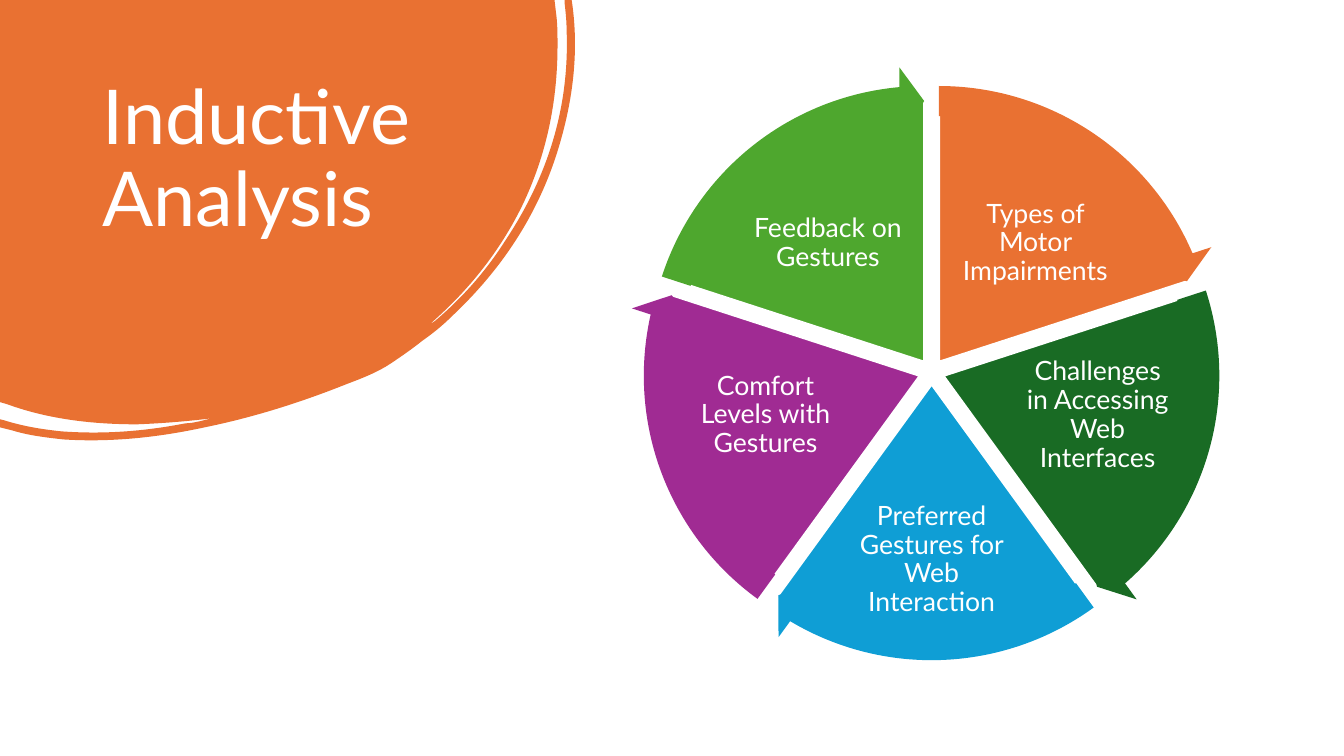
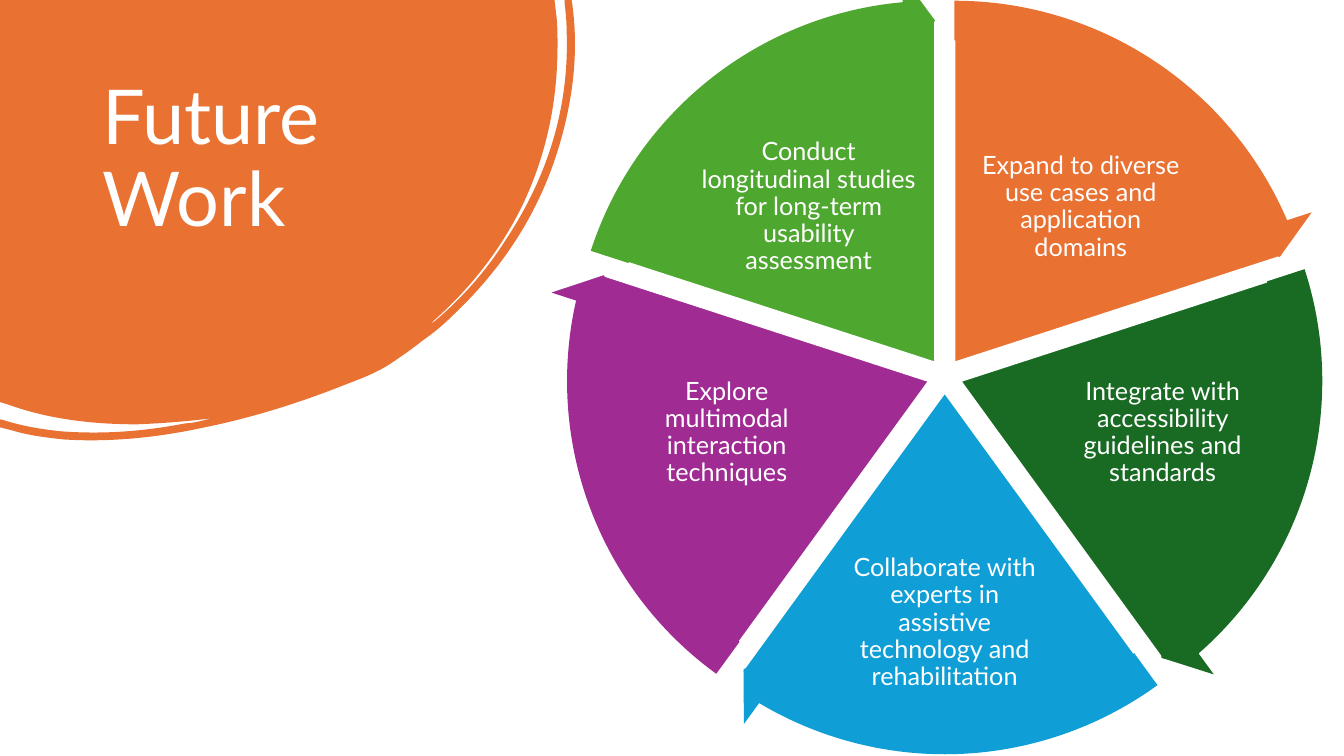
from math import cos, radians, sin

from lxml.etree import SubElement
from pptx import Presentation
from pptx.dml.color import RGBColor
from pptx.enum.shapes import MSO_SHAPE as Preset
from pptx.enum.text import MSO_ANCHOR as Anchor, PP_ALIGN as Align
from pptx.oxml.ns import qn
from pptx.util import Inches, Pt

ORANGE = RGBColor(0xE9, 0x71, 0x32)
DARK_GREEN = RGBColor(0x19, 0x6B, 0x24)
BLUE = RGBColor(0x0F, 0x9E, 0xD5)
PURPLE = RGBColor(0xA0, 0x2B, 0x93)
GREEN = RGBColor(0x4E, 0xA7, 0x2E)
WHITE = RGBColor(0xFF, 0xFF, 0xFF)
FONT = "Lato"

# Wheel centre and diameter are in inches; labels run clockwise from the top.
SLIDES = [
    {
        "title": "Inductive Analysis",
        "centre": (9.24, 3.69), "diameter": 5.22, "size": 19,
        "labels": [
            "Types of Motor Impairments",
            "Challenges in Accessing Web Interfaces",
            "Preferred Gestures for Web Interaction",
            "Comfort Levels with Gestures",
            "Feedback on Gestures",
        ],
    },
    {
        "title": "Future Work",
        "centre": (9.37, 3.73), "diameter": 6.85, "size": 18,
        "labels": [
            "Expand to diverse use cases and application domains",
            "Integrate with accessibility guidelines and standards",
            "Collaborate with experts in assistive technology and rehabilitation",
            "Explore multimodal interaction techniques",
            "Conduct longitudinal studies for long-term usability assessment",
        ],
    },
]

# Label centre from the wheel centre, width and height, in percent of the diameter
UPPER = (19.7, -24.45, 32.15, 21.45)
MIDDLE = (31.55, 8.25, 29.75, 23.8)
LOWER = (0, 35.75, 28.6, 26.25)
# Colour, label place and the side of the wheel it lies on
SLICES = [(ORANGE, UPPER, 1), (DARK_GREEN, MIDDLE, 1), (BLUE, LOWER, 1),
          (PURPLE, MIDDLE, -1), (GREEN, UPPER, -1)]
SWEEP = 360 / len(SLICES)
SLICE_GAP = 2.38      # outward shift of a slice, percent of the diameter
ARROW_SIZE = 112.35   # arrow frame, percent of the diameter
ARROW_BAND, ARROW_TIP = 5.1 / 100, 5.9 / 100
ARROW_HEAD = 5.46     # degrees taken by the arrowhead
ANGLE_UNIT = 0.6      # adjustment units per degree

# Outline of the brushed corner: two numbers draw a line, six a Bezier curve
BLOB_SIZE = (5.71, 4.37)
BLOB = [
    (0, 0), (5.5, 0), (5.52, 0.17),
    (5.53, 0.26, 5.53, 0.36, 5.53, 0.45), (5.53, 1.01, 5.42, 1.54, 5.18, 2.04),
    (4.96, 2.49, 4.65, 2.88, 4.27, 3.21), (4.29, 3.21, 4.3, 3.19, 4.32, 3.18),
    (4.59, 2.95, 4.82, 2.69, 5.01, 2.39), (5.43, 1.76, 5.65, 1.07, 5.62, 0.3),
    (5.62, 0.21, 5.61, 0.12, 5.6, 0.03), (5.6, 0), (5.67, 0), (5.68, 0.07),
    (5.74, 0.54, 5.68, 1.02, 5.53, 1.5), (5.33, 2.14, 4.97, 2.68, 4.48, 3.14),
    (4.39, 3.23, 4.29, 3.31, 4.19, 3.38), (4.09, 3.46, 3.99, 3.53, 3.87, 3.61),
    (3.75, 3.69, 3.6, 3.75, 3.44, 3.81), (2.99, 3.99, 2.52, 4.14, 2.03, 4.24),
    (1.57, 4.34, 1.1, 4.39, 0.63, 4.36), (0.45, 4.34, 0.28, 4.32, 0.12, 4.27),
    (0, 4.24), (0, 4.16), (0.04, 4.17),
    (0.23, 4.23, 0.42, 4.26, 0.61, 4.28), (1.03, 4.31, 1.43, 4.28, 1.84, 4.2),
    (1.89, 4.2, 1.93, 4.19, 1.98, 4.18), (2.02, 4.17, 2.06, 4.16, 2.1, 4.15),
    (1.86, 4.18, 1.61, 4.2, 1.36, 4.21), (0.92, 4.21, 0.48, 4.16, 0.07, 4.01),
    (0, 3.99),
]


def paint(shape, fill, line=None):
    shape.shadow.inherit = False
    shape.fill.solid()
    shape.fill.fore_color.rgb = fill
    if line is None:
        shape.line.fill.background()
    else:
        shape.line.color.rgb = line
        shape.line.width = Pt(1.5)


def centred(x, y, width, height):
    """Frame of a box around its centre."""
    return [Inches(v) for v in (x - width / 2, y - height / 2, width, height)]


def add_text(slide, frame, text, size, align=Align.LEFT, anchor=Anchor.TOP, inset=None):
    text_frame = slide.shapes.add_textbox(*frame).text_frame
    text_frame.word_wrap = True
    text_frame.vertical_anchor = anchor
    if inset is not None:
        text_frame.margin_left = text_frame.margin_right = Inches(inset)
        text_frame.margin_top = text_frame.margin_bottom = Inches(inset)
    paragraph = text_frame.paragraphs[0]
    paragraph.alignment = align
    paragraph.line_spacing = 0.9
    run = paragraph.add_run()
    run.text = text
    run.font.name = FONT
    run.font.size = Pt(size)
    run.font.color.rgb = WHITE


def add_round(slide, preset, centre, diameter, adjustments, **colours):
    shape = slide.shapes.add_shape(preset, *centred(*centre, diameter, diameter))
    for index, value in enumerate(adjustments):
        shape.adjustments[index] = value
    paint(shape, **colours)


def add_blob(slide):
    """Draw the outline through its corners, then bend the curved sides."""
    corners = [tuple(Inches(v) for v in segment[-2:]) for segment in BLOB]
    builder = slide.shapes.build_freeform(*corners[0])
    builder.add_line_segments(corners[1:], close=True)
    blob = builder.convert_to_shape()
    paint(blob, ORANGE)
    blob.width, blob.height = (Inches(v) for v in BLOB_SIZE)
    outline = next(blob.element.iter(qn("a:path")))
    outline.set("w", str(blob.width))
    outline.set("h", str(blob.height))
    for side, segment in zip(list(outline.iter(qn("a:lnTo"))), BLOB[1:]):
        if len(segment) == 6:
            curve = outline.makeelement(qn("a:cubicBezTo"))
            for x, y in zip(segment[::2], segment[1::2]):
                SubElement(curve, qn("a:pt"), x=str(Inches(x)), y=str(Inches(y)))
            outline.replace(side, curve)


def add_heading(slide, title):
    add_blob(slide)
    add_text(slide, [Inches(v) for v in (0.92, 0.74, 3.52, 2.22)], title, 54)


def add_wheel(slide, centre, diameter, labels, size):
    percent = diameter / 100
    arrows = []
    for index, (label, (colour, place, side)) in enumerate(zip(labels, SLICES)):
        start = (270 + index * SWEEP) % 360
        end = (start + SWEEP) % 360
        bisector = radians(start + SWEEP / 2)
        hub = (centre[0] + SLICE_GAP * percent * cos(bisector),
               centre[1] + SLICE_GAP * percent * sin(bisector))
        add_round(slide, Preset.PIE, hub, diameter,
                  (start * ANGLE_UNIT, end * ANGLE_UNIT), fill=colour, line=WHITE)
        dx, dy, width, height = (share * percent for share in place)
        add_text(slide, centred(centre[0] + side * dx, centre[1] + dy, width, height), label,
                 size, align=Align.CENTER, anchor=Anchor.MIDDLE, inset=0.03)
        angles = [angle * ANGLE_UNIT for angle in (ARROW_HEAD, end - ARROW_HEAD, start)]
        arrows.append((hub, (ARROW_BAND, *angles, ARROW_TIP), colour))
    for hub, adjustments, colour in arrows:
        add_round(slide, Preset.CIRCULAR_ARROW, hub, ARROW_SIZE * percent,
                  adjustments, fill=colour)


def main():
    deck = Presentation()
    deck.slide_width, deck.slide_height = Inches(13.33), Inches(7.5)
    for content in SLIDES:
        slide = deck.slides.add_slide(deck.slide_layouts[6])
        add_heading(slide, content["title"])
        add_wheel(slide, content["centre"], content["diameter"],
                  content["labels"], content["size"])
    deck.save("out.pptx")


if __name__ == "__main__":
    main()
